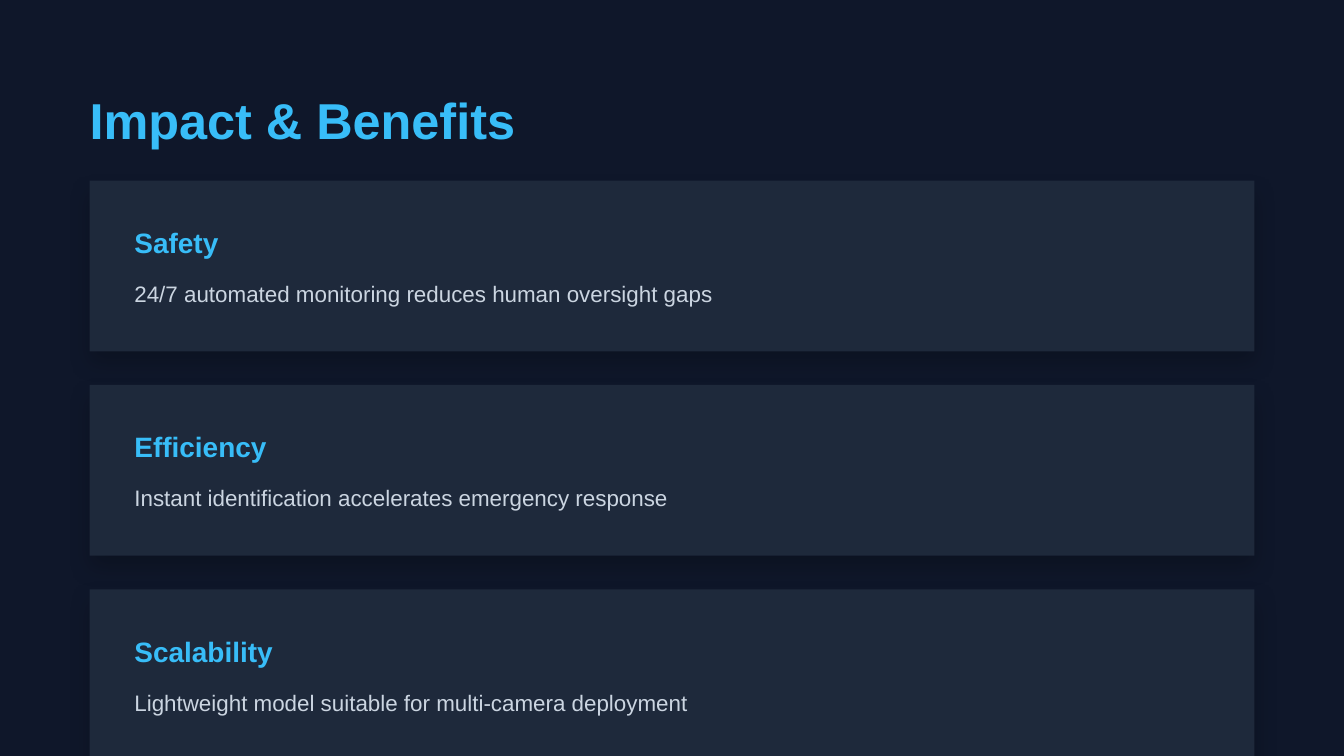
import pptx
import pptx.dml.color
import pptx.enum.shapes
import pptx.oxml
import pptx.oxml.ns
import pptx.util

PX = 9525  # EMU in one px, at 96 px to the inch
COLORS = {"background": "0F172A", "card": "1E293B", "accent": "38BDF8", "body": "CBD5E1"}
CARDS = [
    ("Safety", "24/7 automated monitoring reduces human oversight gaps"),
    ("Efficiency", "Instant identification accelerates emergency response"),
    ("Scalability", "Lightweight model suitable for multi-camera deployment"),
]
LEFT, CARD_TOP, CARD_W, CARD_H, PITCH = 64, 129, 832, 122, 146
PADDING, BODY_OFFSET = 32, 71
SHADOW = (
    f'<a:effectLst {pptx.oxml.ns.nsdecls("a")}>'
    f'<a:outerShdw blurRad="{16 * PX}" dist="{8 * PX}" dir="5400000" algn="ctr" rotWithShape="0">'
    '<a:srgbClr val="000000"><a:alpha val="20000"/></a:srgbClr>'
    "</a:outerShdw></a:effectLst>"
)


def rgb(name):
    return pptx.dml.color.RGBColor.from_string(COLORS[name])


def add_text(x, y, w, h, text, size, color, bold=False):
    """Add a one-line text box without insets; line spacing is 1.2 times the size."""
    tf = s.shapes.add_textbox(x * PX, y * PX, w * PX, h * PX).text_frame
    tf.margin_left = tf.margin_top = tf.margin_right = tf.margin_bottom = 0
    tf.word_wrap = True
    p = tf.paragraphs[0]
    p.text = text
    p.line_spacing = pptx.util.Pt(size * 1.2)
    font = p.runs[0].font
    font.name = "Arial"
    font.size = pptx.util.Pt(size)
    font.bold = bold
    font.color.rgb = rgb(color)


prs = pptx.Presentation()
prs.slide_width = 960 * PX
prs.slide_height = 540 * PX
s = prs.slides.add_slide(prs.slide_layouts[6])
s.background.fill.solid()
s.background.fill.fore_color.rgb = rgb("background")

card_tops = [CARD_TOP + i * PITCH for i in range(len(CARDS))]
for top in card_tops:
    sp = s.shapes.add_shape(
        pptx.enum.shapes.MSO_SHAPE.RECTANGLE, LEFT * PX, top * PX, CARD_W * PX, CARD_H * PX
    )
    sp.fill.solid()
    sp.fill.fore_color.rgb = rgb("card")
    sp.line.fill.background()
    sp.element.spPr.append(pptx.oxml.parse_xml(SHADOW))

add_text(LEFT, 64, 849, 41, "Impact & Benefits", 27, "accent", bold=True)
for top, (heading, body) in zip(card_tops, CARDS):
    add_text(LEFT + PADDING, top + PADDING, 783, 23, heading, 15, "accent", bold=True)
    add_text(LEFT + PADDING, top + BODY_OFFSET, 783, 18, body, 12, "body")

prs.save("out.pptx")
